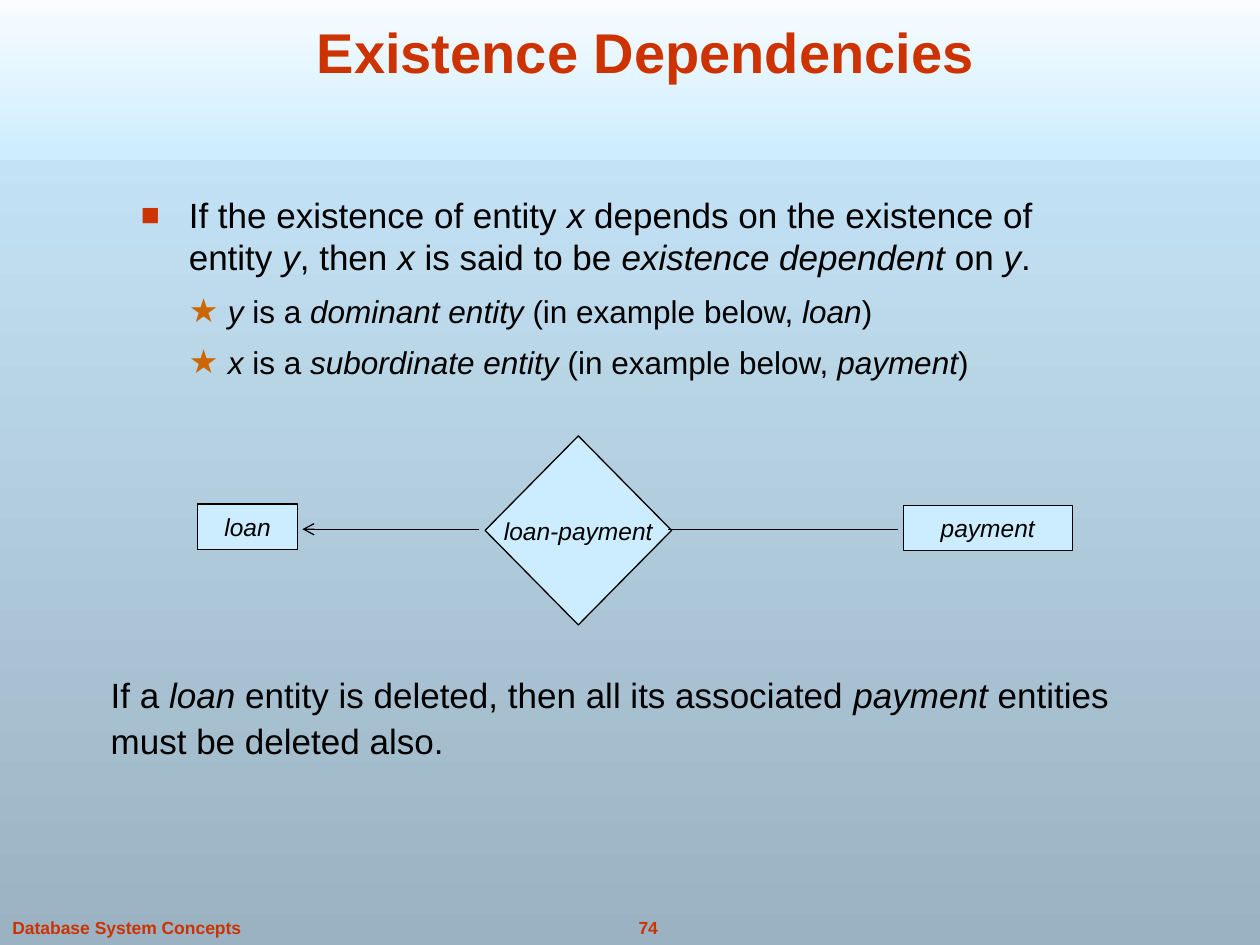
from pptx import Presentation
from pptx.dml.color import RGBColor
from pptx.enum.shapes import MSO_CONNECTOR, MSO_SHAPE
from pptx.enum.text import MSO_ANCHOR, PP_ALIGN
from pptx.oxml.ns import qn
from pptx.util import Inches, Pt
from lxml import etree

RECT, DIAMOND = MSO_SHAPE.RECTANGLE, MSO_SHAPE.DIAMOND
LINE = MSO_CONNECTOR.STRAIGHT
LEFT, CENTER = PP_ALIGN.LEFT, PP_ALIGN.CENTER
TOP, MIDDLE, BOTTOM = MSO_ANCHOR.TOP, MSO_ANCHOR.MIDDLE, MSO_ANCHOR.BOTTOM

FONT = "Arial"
COLORS = {
    "sky": "CCECFF",
    "slate": "9AB2C1",
    "white": "FFFFFF",
    "red": "CC3300",
    "orange": "CC6600",
    "black": "000000",
}

# Bullet styles: char, color, size %, left margin, hang, text size, space before
SQUARE = ("■", "red", 90, 0.38, 0.38, 20, 0)
STAR = ("★", "orange", 105, 0.69, 0.31, 18, 7.9)

# Text between asterisks is italic
POINTS = [
    (SQUARE, "If the existence of entity *x* depends on the existence of entity "
             "*y*, then *x* is said to be *existence dependent *on *y*."),
    (STAR, "*y* is a *dominant entity* (in example below, *loan*)"),
    (STAR, "*x* is a *subordinate entity* (in example below, *payment*)"),
]
NODES = [
    (DIAMOND, "loan-payment", (3.85, 3.46, 1.48, 1.5)),
    (RECT, "payment", (7.17, 4.01, 1.34, 0.36)),
    (RECT, "loan", (1.57, 4, 0.79, 0.36)),
]


def rgb(name):
    return RGBColor.from_string(COLORS[name])


def shade(fill, start, end):
    """Fill from top to bottom with two colors."""
    fill.gradient()
    fill.gradient_angle = 270
    for stop, name in zip(fill.gradient_stops, (start, end)):
        stop.color.rgb = rgb(name)


def write(para, text, size, color="black", bold=False):
    for i, part in enumerate(text.split("*")):
        if part:
            run = para.add_run()
            run.text = part
            font = run.font
            font.name, font.size = FONT, Pt(size)
            font.bold, font.italic = bold, i % 2 == 1
            font.color.rgb = rgb(color)


def add_box(slide, at, anchor=TOP):
    frame = slide.shapes.add_textbox(*map(Inches, at)).text_frame
    frame.word_wrap = True
    frame.vertical_anchor = anchor
    return frame


def add_label(slide, at, text, size, align=LEFT, anchor=TOP):
    para = add_box(slide, at, anchor).paragraphs[0]
    para.alignment = align
    write(para, text, size, "red", bold=True)


def add_point(para, style, text):
    char, color, scale, left, hang, size, space = style
    props = para._p.get_or_add_pPr()
    props.set("marL", str(Inches(left)))
    props.set("indent", str(-Inches(hang)))
    tint = etree.SubElement(props, qn("a:buClr"))
    etree.SubElement(tint, qn("a:srgbClr"), val=COLORS[color])
    etree.SubElement(props, qn("a:buSzPct"), val=str(scale * 1000))
    etree.SubElement(props, qn("a:buFont"), typeface=FONT)
    etree.SubElement(props, qn("a:buChar"), char=char)
    para.space_before = Pt(space)
    write(para, text, size)


def add_node(slide, kind, text, at):
    node = slide.shapes.add_shape(kind, *map(Inches, at))
    node.shadow.inherit = False
    node.fill.solid()
    node.fill.fore_color.rgb = rgb("sky")
    node.line.color.rgb = rgb("black")
    node.line.width = Pt(0.75)
    frame = node.text_frame
    frame.word_wrap = False
    frame.vertical_anchor = MIDDLE
    para = frame.paragraphs[0]
    para.alignment = CENTER
    write(para, f"*{text}*", 14)


def add_link(slide, start, end, y, arrow=False):
    link = slide.shapes.add_connector(
        LINE, Inches(start), Inches(y), Inches(end), Inches(y))
    link.line.color.rgb = rgb("black")
    link.line.width = Pt(0.75)
    if arrow:
        etree.SubElement(link.line._get_or_add_ln(), qn("a:tailEnd"), type="arrow")
    etree.SubElement(link._element.spPr, qn("a:effectLst"))


def main():
    deck = Presentation()
    deck.slide_width, deck.slide_height = Inches(10), Inches(7.5)
    slide = deck.slides.add_slide(deck.slide_layouts[6])

    # Background and top band
    shade(slide.background.fill, "sky", "slate")
    band = slide.shapes.add_shape(
        RECT, Inches(0), Inches(-0.17), Inches(10), Inches(1.44))
    band.shadow.inherit = False
    band.line.fill.background()
    shade(band.fill, "white", "sky")

    # Footer, wide enough for one line, and title
    add_label(slide, (4.71, 7.23, 0.87, 0.27), "74", 10, CENTER)
    add_label(slide, (0, 7.23, 2.2, 0.27), "Database System Concepts", 10)
    add_label(slide, (0.71, 0.05, 8.83, 0.67), "Existence Dependencies", 32,
              CENTER, BOTTOM)

    # Bullet points
    body = add_box(slide, (1.02, 1.49, 7.69, 1.74))
    for i, (style, text) in enumerate(POINTS):
        para = body.add_paragraph() if i else body.paragraphs[0]
        add_point(para, style, text)

    # Entity diagram
    for node in NODES:
        add_node(slide, *node)
    add_link(slide, 3.8, 2.4, 4.2, arrow=True)
    add_link(slide, 5.3, 7.13, 4.2)

    # Closing remark
    para = add_box(slide, (0.78, 5.26, 8.3, 0.9)).paragraphs[0]
    para.line_spacing = 1.1
    write(para, "If a *loan* entity is deleted, then all its associated"
                "* payment *entities must be deleted also.", 20)

    deck.save("out.pptx")


if __name__ == "__main__":
    main()
